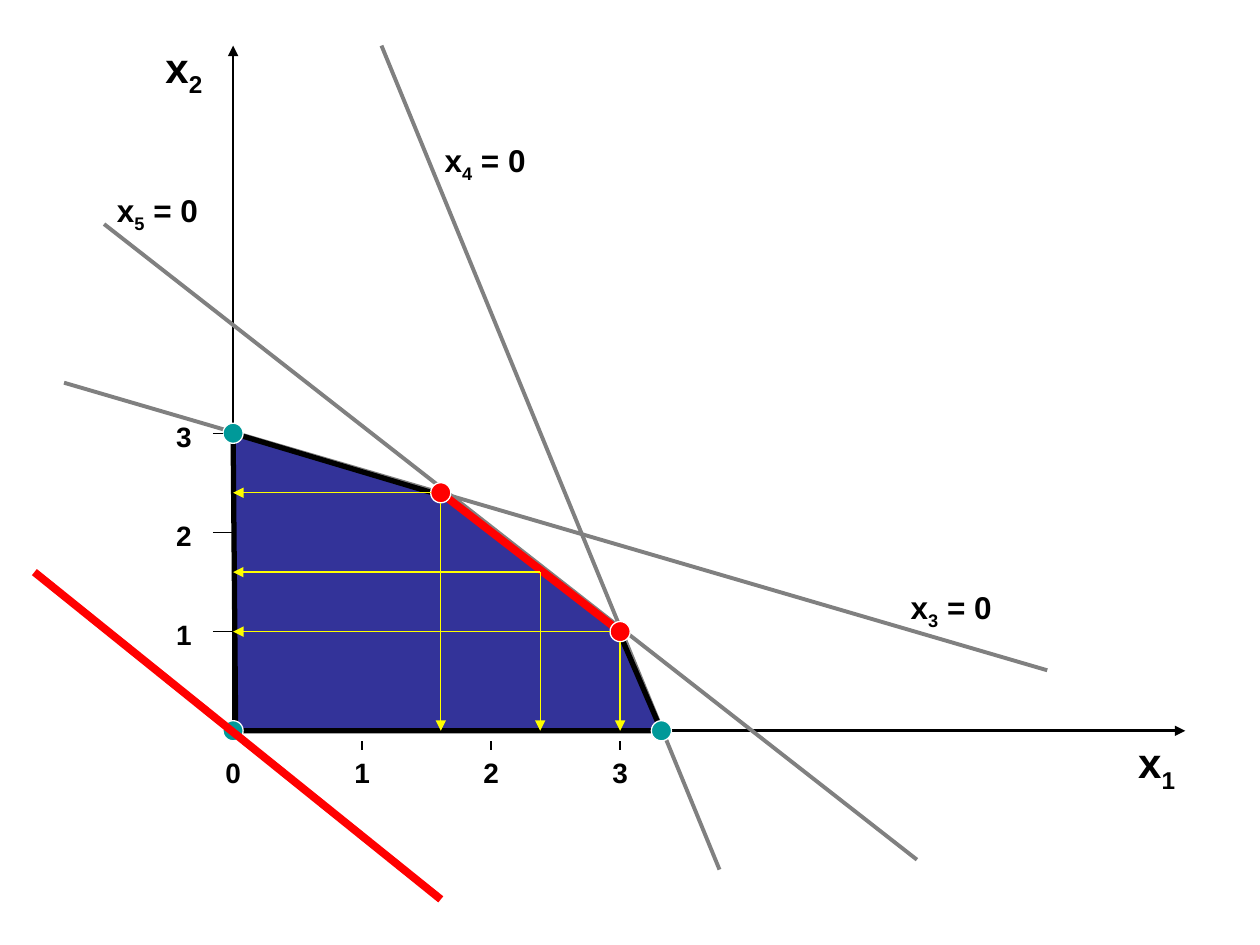
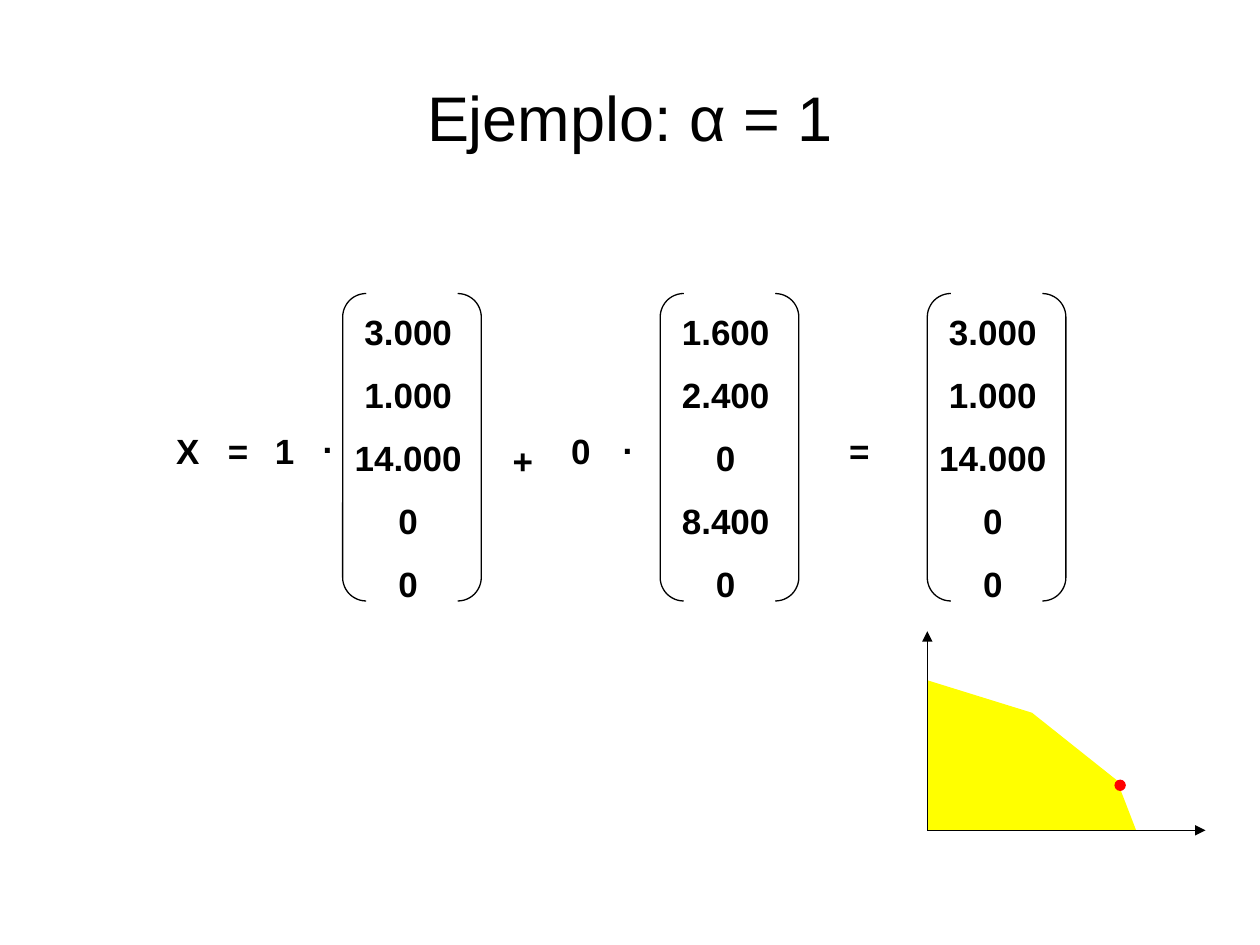
from dataclasses import dataclass

from lxml.etree import SubElement
from pptx import Presentation
from pptx.dml.color import RGBColor
from pptx.enum.shapes import MSO_CONNECTOR, MSO_SHAPE
from pptx.enum.text import MSO_ANCHOR, PP_ALIGN
from pptx.oxml.ns import qn
from pptx.util import Inches, Pt


@dataclass(frozen=True)
class Theme:
    """Colours, font and sizes shared by both slides."""
    font: str = "Arial"
    black: str = "000000"
    white: str = "FFFFFF"
    grey: str = "808080"
    navy: str = "333399"
    teal: str = "009999"
    red: str = "FF0000"
    yellow: str = "FFFF00"
    title: int = 36
    axis: int = 24
    vector: int = 20
    constraint: int = 18
    tick: int = 16
    thin: float = 0.75
    axis_line: float = 1.5
    constraint_line: float = 2.25
    edge: float = 3
    objective: float = 4.5


THEME = Theme()
COLUMNS, ROWS = 100, 75


def cells(count):
    """Convert grid cells, a hundredth of the slide's width, to a length."""
    return Inches(count * 0.1)


@dataclass(frozen=True)
class Plot:
    """Axes with an origin and unit lengths, all in grid cells."""
    left: float
    base: float
    unit_x: float
    unit_y: float

    def at(self, x, y):
        """Return the grid position of a data point."""
        return self.left + x * self.unit_x, self.base - y * self.unit_y


def paint(shape, fill=None, line=None, width=THEME.thin):
    """Set the fill and outline of a shape and drop its shadow."""
    shape.shadow.inherit = False
    if fill:
        shape.fill.solid()
        shape.fill.fore_color.rgb = RGBColor.from_string(fill)
    else:
        shape.fill.background()
    if line:
        shape.line.color.rgb = RGBColor.from_string(line)
        shape.line.width = Pt(width)
    else:
        shape.line.fill.background()


def add_line(page, start, end, color, width=THEME.thin, arrow=False):
    """Draw a straight line between two grid positions."""
    ends = [cells(value) for value in (*start, *end)]
    line = page.shapes.add_connector(MSO_CONNECTOR.STRAIGHT, *ends)
    line.line.color.rgb = RGBColor.from_string(color)
    line.line.width = Pt(width)
    if arrow:
        SubElement(line.line._get_or_add_ln(), qn("a:tailEnd"), type="triangle")
    SubElement(line._element.spPr, qn("a:effectLst"))


def add_dot(page, center, size, fill, line):
    """Draw a round marker around a grid position."""
    x, y = center
    dot = page.shapes.add_shape(
        MSO_SHAPE.OVAL, cells(x - size / 2), cells(y - size / 2), cells(size), cells(size))
    paint(dot, fill, line)


def add_region(page, plot, corners, fill, line=None):
    """Draw the feasible region as a closed polygon."""
    points = [tuple(cells(value) for value in plot.at(*corner)) for corner in corners]
    builder = page.shapes.build_freeform(*points[0])
    builder.add_line_segments(points[1:], close=True)
    paint(builder.convert_to_shape(), fill, line, THEME.edge)


def add_span(para, text, size, bold, subscript=False):
    """Add one formatted run to a paragraph."""
    span = para.add_run()
    span.text = text
    font = span.font
    font.name, font.size, font.bold = THEME.font, Pt(size), bold
    font.color.rgb = RGBColor.from_string(THEME.black)
    if subscript:
        span._r.get_or_add_rPr().set("baseline", "-25000")


def add_label(page, center, top, lines, size, width=4, height=4.4, bold=True,
              spacing=1.0, anchor=MSO_ANCHOR.TOP):
    """Add centred text; each line is a list of spans, every second one lowered."""
    box = page.shapes.add_textbox(
        cells(center - width / 2), cells(top), cells(width), cells(height))
    frame = box.text_frame
    frame.word_wrap = True
    frame.vertical_anchor = anchor
    frame.margin_left = frame.margin_right = 0
    for row, spans in enumerate(lines):
        para = frame.add_paragraph() if row else frame.paragraphs[0]
        para.alignment = PP_ALIGN.CENTER
        para.line_spacing = spacing
        for index, text in enumerate(spans):
            add_span(para, text, size, bold, subscript=index % 2 == 1)


def add_axes(page, plot, end_x, end_y, width):
    """Draw both axis arrows from the origin."""
    for end in ((0, end_y), (end_x, 0)):
        add_line(page, plot.at(0, 0), plot.at(*end), THEME.black, width, arrow=True)


def add_ticks(page, plot):
    """Number both axes and mark their units."""
    for number in range(4):
        x, y = plot.at(number, number)
        add_label(page, x, 59.5, [[str(number)]], THEME.tick)
        if number:
            add_line(page, (x, 59.5), (x, 58.8), THEME.black)
            add_label(page, 14.6, y - 1.6, [[str(number)]], THEME.tick)
            end = plot.left - (0.8 if number == 3 else 0)
            add_line(page, (plot.left - 1.6, y), (end, y), THEME.black)


def add_constraint(page, plot, start, end, index, center, top):
    """Draw the line where one slack variable is zero, with its label."""
    add_line(page, plot.at(*start), plot.at(*end), THEME.grey, THEME.constraint_line)
    add_label(page, center, top, [["x", index, " = 0"]], THEME.constraint, width=12)


def add_projection(page, plot, x, y, gap=0.0):
    """Draw arrows from a point to both axes, starting a gap away from it."""
    column, row = plot.at(x, y)
    add_line(page, (column, row + gap), plot.at(x, 0), THEME.yellow, arrow=True)
    add_line(page, (column - gap, row), plot.at(0, y), THEME.yellow, arrow=True)


def add_vector(page, left, values):
    """Draw a column vector between round brackets."""
    width, height = 11, 24.4
    bracket = page.shapes.add_shape(
        MSO_SHAPE.DOUBLE_BRACKET, cells(left), cells(23.3), cells(width), cells(height))
    bracket.adjustments[0] = 0.17
    paint(bracket, line=THEME.black)
    add_label(page, left + width / 2 - 0.3, 22.5, [[value] for value in values],
              THEME.vector, width=14, height=26, spacing=1.5)


def build_graph(page):
    """Show the feasible region, its constraints and the optimal edge."""
    plot = Plot(left=18.5, base=58, unit_x=10.24, unit_y=7.87)
    first, second = (1.61, 2.4), (3, 1)
    add_axes(page, plot, 7.38, 6.91, THEME.axis_line)
    for index, center, top in (("2", 14.6, 2.8), ("1", 91.8, 58)):
        add_label(page, center, top, [["x", index]], THEME.axis, width=6.3, height=5.6)
    constraints = (
        ((-1, 5.11), (5.3, -1.3), "5", 12.5, 14.7),
        ((-1.31, 3.51), (6.31, 0.61), "3", 75.5, 46.2),
        ((3.77, -1.4), (1.15, 6.91), "4", 38.5, 10.7),
    )
    for constraint in constraints:
        add_constraint(page, plot, *constraint)
    corners = [(0.02, 0), (0, 3), (1.65, 2.36), (2.99, 1), (3.32, 0)]
    add_region(page, plot, corners, THEME.navy, THEME.black)
    add_line(page, plot.at(*first), plot.at(*second), THEME.red, THEME.objective)
    for corner in ((3.32, 0), (0, 3), (0, 0)):
        add_dot(page, plot.at(*corner), 1.6, THEME.teal, THEME.white)
    add_line(page, plot.at(-1.54, 1.6), plot.at(1.61, -1.7), THEME.red, THEME.objective)
    for optimum in (first, second):
        add_dot(page, plot.at(*optimum), 1.6, THEME.red, THEME.white)
        add_projection(page, plot, *optimum, gap=0.8)
    add_projection(page, plot, 2.38, 1.6)
    add_ticks(page, plot)


def build_example(page):
    """Show the convex combination for alpha equal to one."""
    add_label(page, COLUMNS / 2, 3, [["Ejemplo: α = 1"]], THEME.title, width=90,
              height=12.5, bold=False, anchor=MSO_ANCHOR.MIDDLE)
    solution = ("3.000", "1.000", "14.000", "0", "0")
    other = ("1.600", "2.400", "0", "8.400", "0")
    for left, values in ((27.2, solution), (52.4, other), (73.6, solution)):
        add_vector(page, left, values)
    symbols = (("X", 14.9, 33.6), ("=", 18.9, 33.6), ("1", 22.6, 33.6), (".", 26, 32.7),
               ("+", 41.5, 34.4), ("0", 46.1, 33.6), (".", 49.8, 32.8), ("=", 68.2, 33.6))
    for symbol, center, top in symbols:
        add_label(page, center, top, [[symbol]], THEME.vector)
    plot = Plot(left=73.6, base=65.9, unit_x=5.1, unit_y=3.97)
    corners = [(0, 0), (0, 3), (1.63, 2.35), (2.95, 1), (3.25, 0)]
    add_region(page, plot, corners, THEME.yellow)
    add_axes(page, plot, 4.33, 3.98, THEME.thin)
    add_dot(page, plot.at(3, 0.9), 0.8, THEME.red, THEME.red)


def main():
    """Build both slides and save the deck."""
    deck = Presentation()
    deck.slide_width, deck.slide_height = cells(COLUMNS), cells(ROWS)
    for build in (build_graph, build_example):
        build(deck.slides.add_slide(deck.slide_layouts[6]))
    deck.save("out.pptx")


if __name__ == "__main__":
    main()
